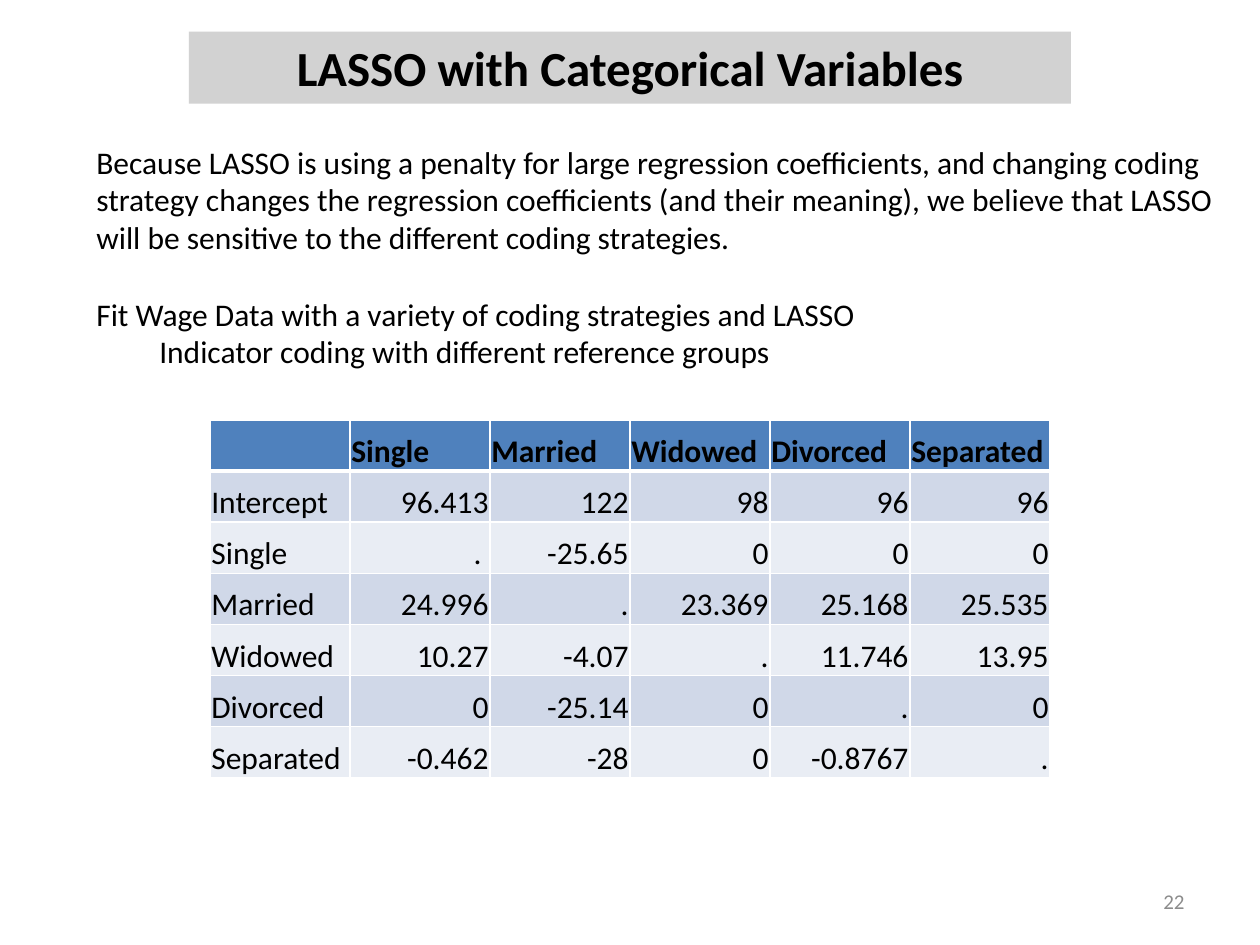
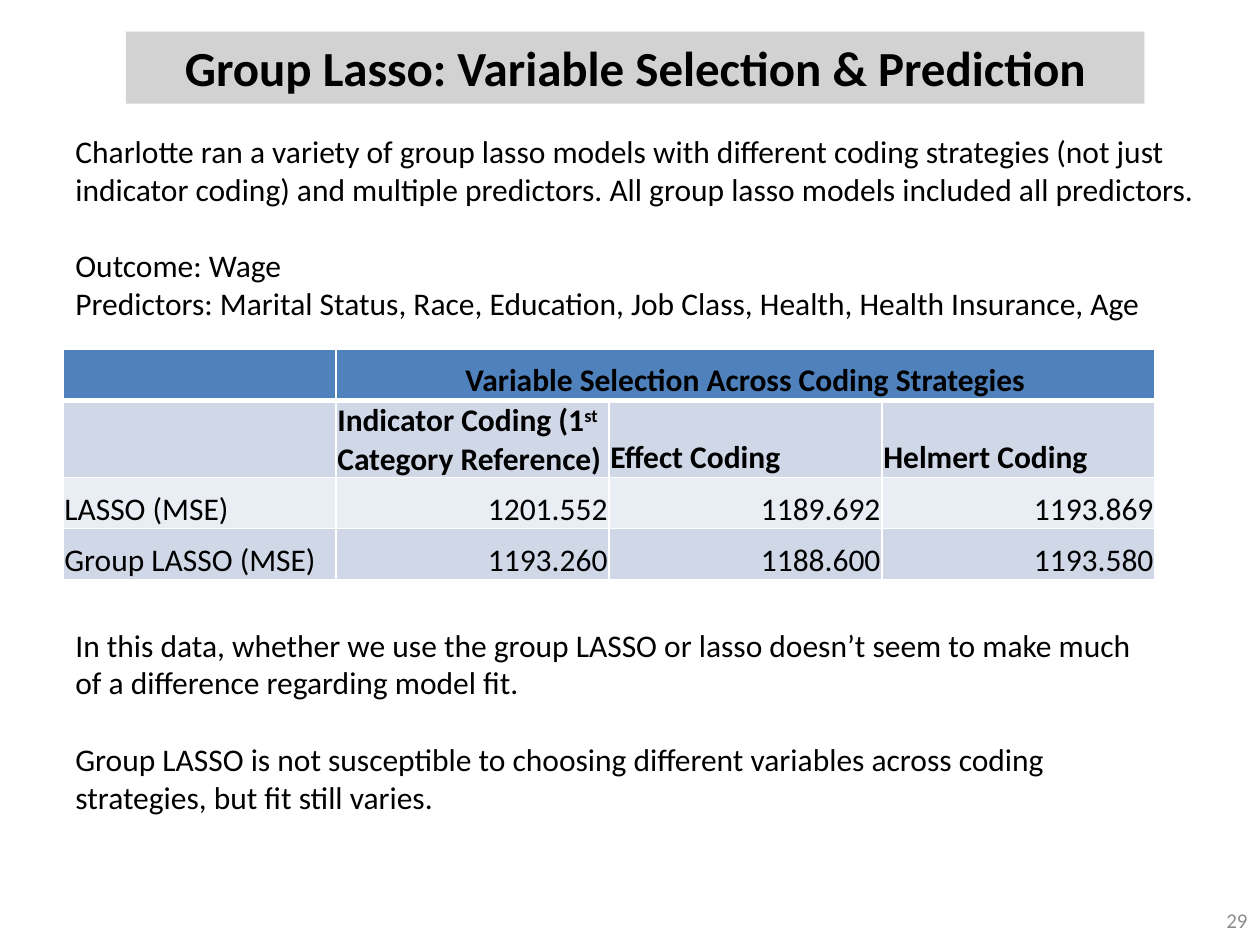
"""Build two slides about LASSO and group lasso with categorical variables."""
from dataclasses import dataclass
from typing import Any

from lxml import etree
from pptx import Presentation
from pptx.dml.color import RGBColor
from pptx.enum.shapes import MSO_SHAPE
from pptx.enum.text import MSO_ANCHOR, PP_ALIGN
from pptx.oxml.ns import qn
from pptx.util import Pt

LEFT, CENTER, RIGHT = PP_ALIGN.LEFT, PP_ALIGN.CENTER, PP_ALIGN.RIGHT
TOP, MIDDLE, BOTTOM = MSO_ANCHOR.TOP, MSO_ANCHOR.MIDDLE, MSO_ANCHOR.BOTTOM
RECTANGLE = MSO_SHAPE.RECTANGLE
EMU_PER_PX = 5080
BLANK_LAYOUT = 6


@dataclass(frozen=True)
class Theme:
    font: str = "Calibri"
    ink: str = "000000"
    band: str = "BFBFBF"
    band_alpha: int = 70
    page_number: str = "8C8C8C"
    header: str = "4F81BD"
    row_fills: tuple[str, str] = ("D0D8E8", "E9EDF4")
    rule: str = "FFFFFF"
    rule_width: int = 1
    header_rule_width: int = 3
    title_size: int = 28
    body_size: int = 18
    number_size: int = 12
    paragraph_gap: int = 22


@dataclass(frozen=True)
class Area:
    left: int
    top: int
    width: int
    height: int

    def emu(self) -> tuple[int, int, int, int]:
        return px(self.left), px(self.top), px(self.width), px(self.height)


@dataclass(frozen=True)
class Line:
    text: str
    gap: int = 0
    indent: int = 0


@dataclass(frozen=True)
class TextBlock:
    area: Area
    lines: tuple[Line, ...]


@dataclass(frozen=True)
class Grid:
    left: int
    top: int
    column_width: int
    rows: tuple[tuple[str, ...], ...]
    header_rows: int = 1
    spanning_header: bool = False


@dataclass(frozen=True)
class Page:
    title: str
    title_area: Area
    number: str
    number_area: Area
    blocks: tuple[TextBlock, ...]
    grid: Grid


THEME = Theme()
ROW_HEIGHT = 73
GAP = THEME.paragraph_gap

PAGES = (
    Page(
        title="LASSO with Categorical Variables",
        title_area=Area(270, 45, 1260, 103),
        number="22",
        number_area=Area(1290, 1251, 420, 72),
        blocks=(
            TextBlock(Area(120, 195, 1635, 454), (
                Line("Because LASSO is using a penalty for large regression coefficients, "
                     "and changing coding strategy changes the regression coefficients "
                     "(and their meaning), we believe that LASSO will be sensitive to the "
                     "different coding strategies."),
                Line("Fit Wage Data with a variety of coding strategies and LASSO", gap=GAP),
                Line("Indicator coding with different reference groups", indent=90),
            )),
        ),
        grid=Grid(300, 600, 200, (
            ("", "Single", "Married", "Widowed", "Divorced", "Separated"),
            ("Intercept", "96.413", "122", "98", "96", "96"),
            ("Single", ". ", "-25.65", "0", "0", "0"),
            ("Married", "24.996", ".", "23.369", "25.168", "25.535"),
            ("Widowed", "10.27", "-4.07", ".", "11.746", "13.95"),
            ("Divorced", "0", "-25.14", "0", ".", "0"),
            ("Separated", "-0.462", "-28", "0", "-0.8767", "."),
        )),
    ),
    Page(
        title="Group Lasso: Variable Selection & Prediction",
        title_area=Area(180, 45, 1455, 103),
        number="29",
        number_area=Area(1380, 1278, 420, 72),
        blocks=(
            TextBlock(Area(90, 180, 1665, 292), (
                Line("Charlotte ran a variety of group lasso models with different coding "
                     "strategies (not just indicator coding) and multiple predictors. All "
                     "group lasso models included all predictors."),
                Line("Outcome: Wage", gap=GAP),
                Line("Predictors: Marital Status, Race, Education, Job Class, Health, "
                     "Health Insurance, Age"),
            )),
            TextBlock(Area(90, 885, 1560, 292), (
                Line("In this data, whether we use the group LASSO or lasso doesn’t seem "
                     "to make much of a difference regarding model fit."),
                Line("Group LASSO is not susceptible to choosing different variables "
                     "across coding strategies, but fit still varies.", gap=GAP),
            )),
        ),
        grid=Grid(90, 499, 390, (
            ("", "Variable Selection Across Coding Strategies", "", ""),
            ("", "Indicator Coding (1^st^ Category Reference)", "Effect Coding",
             "Helmert Coding"),
            ("LASSO (MSE)", "1201.552", "1189.692", "1193.869"),
            ("Group LASSO (MSE)", "1193.260", "1188.600", "1193.580"),
        ), header_rows=2, spanning_header=True),
    ),
)


def px(length: int) -> int:
    """Turn px into EMU."""
    return length * EMU_PER_PX


def write_text(para: Any, text: str, *, size: int = THEME.body_size,
               color: str = THEME.ink, bold: bool = False, align: Any = LEFT,
               gap: int = 0, indent: int = 0) -> None:
    """Write text into a paragraph; parts between carets are superscript."""
    para.alignment = align
    if gap:
        para.space_before = Pt(gap)
    if indent:
        para._p.get_or_add_pPr().set("marL", str(px(indent)))
    para.font.size = Pt(size)
    for index, part in enumerate(text.split("^")):
        if not part:
            continue
        span = para.add_run()
        span.text = part
        span.font.name = THEME.font
        span.font.size = Pt(size)
        span.font.bold = bold
        span.font.color.rgb = RGBColor.from_string(color)
        if index % 2:
            span._r.get_or_add_rPr().set("baseline", "30000")


def add_title(slide: Any, text: str, area: Area) -> None:
    """Draw the translucent title band."""
    band = slide.shapes.add_shape(RECTANGLE, *area.emu())
    band.shadow.inherit = False
    band.fill.solid()
    band.fill.fore_color.rgb = RGBColor.from_string(THEME.band)
    band.line.fill.background()
    tint = band._element.spPr.find(".//" + qn("a:srgbClr"))
    etree.SubElement(tint, qn("a:alpha")).set("val", str(THEME.band_alpha * 1000))
    band.text_frame.word_wrap = True
    band.text_frame.vertical_anchor = TOP
    write_text(band.text_frame.paragraphs[0], text, size=THEME.title_size,
               bold=True, align=CENTER)


def add_text_frame(slide: Any, area: Area, anchor: Any = TOP) -> Any:
    """Add a wrapping text box and return its frame."""
    frame = slide.shapes.add_textbox(*area.emu()).text_frame
    frame.word_wrap = True
    frame.vertical_anchor = anchor
    return frame


def add_block(slide: Any, block: TextBlock) -> None:
    """Draw a block of body lines."""
    frame = add_text_frame(slide, block.area)
    for index, line in enumerate(block.lines):
        para = frame.add_paragraph() if index else frame.paragraphs[0]
        write_text(para, line.text, gap=line.gap, indent=line.indent)


def add_number(slide: Any, text: str, area: Area) -> None:
    """Draw the page number."""
    frame = add_text_frame(slide, area, MIDDLE)
    write_text(frame.paragraphs[0], text, size=THEME.number_size,
               color=THEME.page_number, align=RIGHT)


def set_borders(cell: Any, row: int) -> None:
    """Rule a cell in white, with a thicker line under the first row."""
    widths = {"lnL": THEME.rule_width, "lnR": THEME.rule_width,
              "lnT": THEME.header_rule_width if row == 1 else THEME.rule_width,
              "lnB": THEME.header_rule_width if row == 0 else THEME.rule_width}
    properties = cell._tc.get_or_add_tcPr()
    for index, (side, width) in enumerate(widths.items()):
        edge = etree.Element(qn(f"a:{side}"), w=str(Pt(width)))
        fill = etree.SubElement(edge, qn("a:solidFill"))
        etree.SubElement(fill, qn("a:srgbClr")).set("val", THEME.rule)
        properties.insert(index, edge)


def style_cell(cell: Any, row: int) -> None:
    """Set the margins, fill and borders of a cell."""
    cell.vertical_anchor = BOTTOM
    cell.margin_left = cell.margin_right = cell.margin_top = px(2)
    cell.margin_bottom = 0
    cell.fill.solid()
    fill = THEME.row_fills[(row - 1) % 2] if row else THEME.header
    cell.fill.fore_color.rgb = RGBColor.from_string(fill)
    set_borders(cell, row)


def add_grid(slide: Any, grid: Grid) -> None:
    """Draw a table with equal columns and rows."""
    row_count, column_count = len(grid.rows), len(grid.rows[0])
    area = Area(grid.left, grid.top, grid.column_width * column_count,
                ROW_HEIGHT * row_count)
    table = slide.shapes.add_table(row_count, column_count, *area.emu()).table
    for column in table.columns:
        column.width = px(grid.column_width)
    for table_row in table.rows:
        table_row.height = px(ROW_HEIGHT)
    for row, values in enumerate(grid.rows):
        is_header = row < grid.header_rows
        for column, value in enumerate(values):
            cell = table.cell(row, column)
            style_cell(cell, row)
            align = LEFT if is_header or column == 0 else RIGHT
            if grid.spanning_header and row == 0:
                align = CENTER
            write_text(cell.text_frame.paragraphs[0], value, bold=is_header, align=align)
    if grid.spanning_header:
        table.cell(0, 1).merge(table.cell(0, column_count - 1))


def add_page(deck: Any, page: Page) -> None:
    """Add one slide with all its parts."""
    slide = deck.slides.add_slide(deck.slide_layouts[BLANK_LAYOUT])
    add_title(slide, page.title, page.title_area)
    add_number(slide, page.number, page.number_area)
    for block in page.blocks:
        add_block(slide, block)
    add_grid(slide, page.grid)


def main() -> None:
    """Build and save the deck."""
    deck = Presentation()
    deck.slide_width, deck.slide_height = px(1800), px(1350)
    for page in PAGES:
        add_page(deck, page)
    deck.save("out.pptx")


if __name__ == "__main__":
    main()
